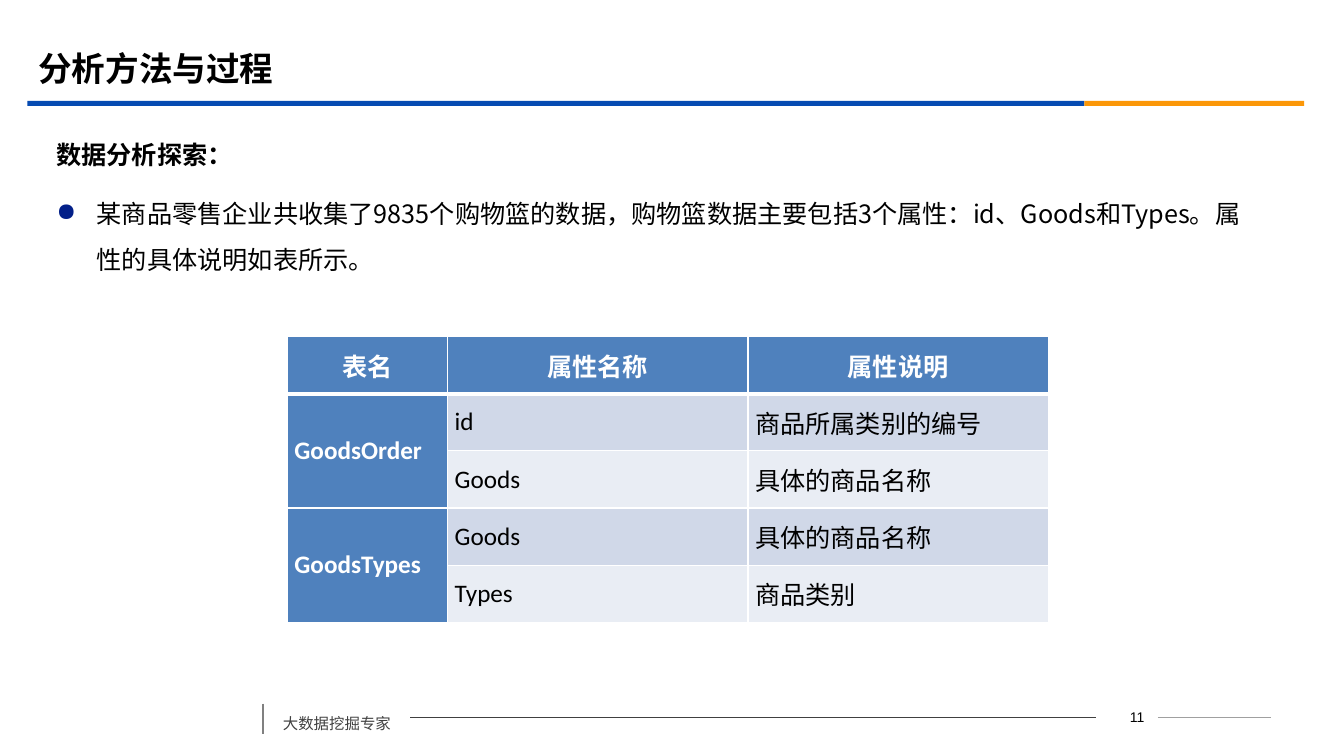
from dataclasses import dataclass

from lxml import etree
from pptx import Presentation
from pptx.dml.color import RGBColor
from pptx.enum.shapes import MSO_CONNECTOR, MSO_SHAPE
from pptx.enum.text import MSO_ANCHOR, PP_ALIGN
from pptx.oxml.ns import qn
from pptx.util import Cm, Pt

LEFT, CENTER = PP_ALIGN.LEFT, PP_ALIGN.CENTER
TOP, MIDDLE = MSO_ANCHOR.TOP, MSO_ANCHOR.MIDDLE
STRAIGHT, RECT = MSO_CONNECTOR.STRAIGHT, MSO_SHAPE.RECTANGLE


@dataclass(frozen=True)
class Theme:
    black: str = "000000"
    white: str = "FFFFFF"
    blue: str = "064BB2"
    orange: str = "FB9708"
    navy: str = "032089"
    dark: str = "404040"
    gray: str = "808080"
    pale: str = "A0A0A0"
    head: str = "4F81BD"
    bands: tuple[str, str] = ("D0D8E8", "E9EDF4")
    sans: str = "Noto Sans CJK SC"
    latin: str = "Calibri"
    digit: str = "Arial"
    title: float = 24
    body: float = 18
    foot: float = 11
    page: float = 10


@dataclass(frozen=True)
class Bar:
    x: float
    width: float
    color: str


@dataclass(frozen=True)
class Rule:
    x1: float
    y1: float
    x2: float
    y2: float
    color: str
    width: float


@dataclass(frozen=True)
class Group:
    name: str
    rows: tuple[tuple[str, str], ...]


THEME = Theme()
BARS = (Bar(0.69, 26.64, THEME.blue), Bar(27.33, 5.54, THEME.orange))
RULES = (
    Rule(10.34, 18.08, 27.61, 18.08, THEME.dark, 0.75),
    Rule(29.18, 18.08, 32.03, 18.08, THEME.pale, 0.75),
    Rule(6.63, 17.73, 6.63, 18.49, THEME.gray, 1.25),
)
HEADS = ("表名", "属性名称", "属性说明")
GROUPS = (
    Group("GoodsOrder", (("id", "商品所属类别的编号"), ("Goods", "具体的商品名称"))),
    Group("GoodsTypes", (("Goods", "具体的商品名称"), ("Types", "商品类别"))),
)
WIDTHS = (4.04, 7.57, 7.57)
ROW = 1.44


def write(frame, text: str, *, size: float, color: str = THEME.black,
          bold: bool = False, font: str = THEME.sans, align=LEFT,
          anchor=TOP, line: float = 1, before: float = 0, bullet: str = "") -> None:
    """Fill the first paragraph of a frame, or add one after it."""
    frame.word_wrap = True
    frame.vertical_anchor = anchor
    para = frame.paragraphs[0]
    if para.runs:
        para = frame.add_paragraph()
    para.alignment = align
    para.line_spacing = line
    para.space_before = Pt(before)
    if bullet:
        props = para._p.get_or_add_pPr()
        props.set("marL", str(Cm(1.02)))
        props.set("indent", str(-Cm(1.02)))
        tint = etree.SubElement(props, qn("a:buClr"))
        etree.SubElement(tint, qn("a:srgbClr"), val=THEME.navy)
        etree.SubElement(props, qn("a:buChar"), char=bullet)
    run = para.add_run()
    run.text = text
    run.font.size = Pt(size)
    run.font.bold = bold
    run.font.color.rgb = RGBColor.from_string(color)
    run.font.name = font
    etree.SubElement(run._r.get_or_add_rPr(), qn("a:ea"), typeface=THEME.sans)


def add_box(slide, x: float, y: float, width: float, height: float):
    return slide.shapes.add_textbox(Cm(x), Cm(y), Cm(width), Cm(height)).text_frame


def add_bar(slide, bar: Bar) -> None:
    shape = slide.shapes.add_shape(RECT, Cm(bar.x), Cm(2.54), Cm(bar.width), Cm(0.13))
    shape.shadow.inherit = False
    shape.fill.solid()
    shape.fill.fore_color.rgb = RGBColor.from_string(bar.color)
    shape.line.fill.background()


def add_rule(slide, rule: Rule) -> None:
    line = slide.shapes.add_connector(
        STRAIGHT, Cm(rule.x1), Cm(rule.y1), Cm(rule.x2), Cm(rule.y2))
    line.line.color.rgb = RGBColor.from_string(rule.color)
    line.line.width = Pt(rule.width)
    etree.SubElement(line._element.spPr, qn("a:effectLst"))


def style(cell, fill: str, top: float, bottom: float) -> None:
    """Set the fill, margins and white borders of a cell."""
    cell.fill.solid()
    cell.fill.fore_color.rgb = RGBColor.from_string(fill)
    cell.margin_left = cell.margin_right = Cm(0.18)
    cell.margin_top = cell.margin_bottom = 0
    cell.vertical_anchor = MIDDLE
    props = cell._tc.get_or_add_tcPr()
    sides = (("a:lnL", 1), ("a:lnR", 1), ("a:lnT", top), ("a:lnB", bottom))
    for index, (side, width) in enumerate(sides):
        edge = etree.Element(qn(side), w=str(Pt(width)))
        paint = etree.SubElement(edge, qn("a:solidFill"))
        etree.SubElement(paint, qn("a:srgbClr"), val=THEME.white)
        props.insert(index, edge)


def add_grid(slide) -> None:
    count = 1 + sum(len(group.rows) for group in GROUPS)
    grid = slide.shapes.add_table(
        count, len(HEADS), Cm(7.24), Cm(8.48), Cm(sum(WIDTHS)), Cm(ROW * count)).table
    grid.first_row = grid.horz_banding = False
    for column, width in zip(grid.columns, WIDTHS):
        column.width = Cm(width)
    for index, row in enumerate(grid.rows):
        row.height = Cm(ROW)
        for col, cell in enumerate(row.cells):
            solid = index == 0 or col == 0
            style(cell, THEME.head if solid else THEME.bands[(index - 1) % 2],
                  3 if index == 1 else 1, 3 if index == 0 else 1)

    def put(row: int, col: int, text: str, **form) -> None:
        cell = grid.cell(row, col)
        write(cell.text_frame, text, size=THEME.body, font=THEME.latin,
              anchor=MIDDLE, **form)

    for col, text in enumerate(HEADS):
        put(0, col, text, color=THEME.white, bold=True, align=CENTER)
    start = 1
    for group in GROUPS:
        end = start + len(group.rows)
        grid.cell(start, 0).merge(grid.cell(end - 1, 0))
        put(start, 0, group.name, color=THEME.white, bold=True)
        for row, texts in enumerate(group.rows, start):
            for col, text in enumerate(texts, 1):
                put(row, col, text)
        start = end


def main() -> None:
    deck = Presentation()
    deck.slide_width, deck.slide_height = Cm(33.87), Cm(19.05)
    slide = deck.slides.add_slide(deck.slide_layouts[5])

    # Title and the band below it
    title = slide.shapes.title
    title.left, title.top = Cm(0.71), Cm(0.99)
    title.width, title.height = Cm(30.48), Cm(1.47)
    write(title.text_frame, "分析方法与过程", size=THEME.title, bold=True, anchor=MIDDLE)
    for bar in BARS:
        add_bar(slide, bar)

    # Body text
    body = add_box(slide, 1.17, 3, 30.86, 4.5)
    write(body, "数据分析探索：", size=THEME.body, bold=True, line=1.5)
    write(body, "某商品零售企业共收集了9835个购物篮的数据，购物篮数据主要包括3个属性："
          "id、Goods和Types。属性的具体说明如表所示。",
          size=THEME.body, line=1.5, before=10, bullet="●")

    # Attribute table
    add_grid(slide)

    # Footer
    for rule in RULES:
        add_rule(slide, rule)
    write(add_box(slide, 6.88, 17.63, 3.45, 0.97), "大数据挖掘专家",
          size=THEME.foot, color=THEME.dark, line=1.5)
    write(add_box(slide, 27.87, 17.75, 1.57, 0.64), "11", size=THEME.page,
          font=THEME.digit, align=CENTER, anchor=MIDDLE)

    deck.save("out.pptx")


if __name__ == "__main__":
    main()
